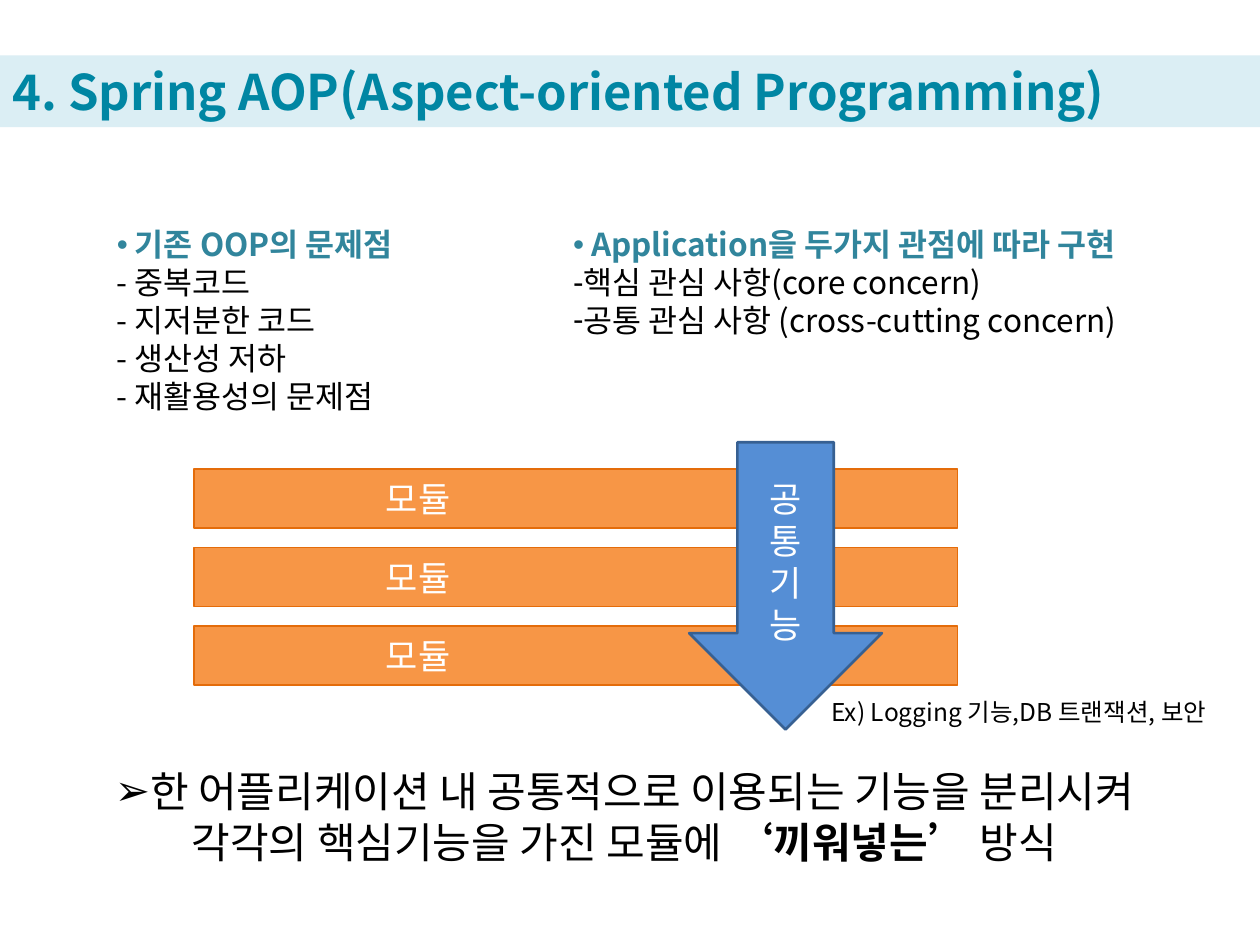
from lxml.etree import SubElement
from pptx import Presentation
from pptx.dml.color import RGBColor
from pptx.enum.shapes import MSO_SHAPE
from pptx.enum.text import MSO_ANCHOR, PP_ALIGN
from pptx.oxml.ns import qn
from pptx.util import Inches, Pt

FONT = "Noto Sans CJK KR"
BLACK = RGBColor(0x00, 0x00, 0x00)
WHITE = RGBColor(0xFF, 0xFF, 0xFF)
TITLE_TEAL = RGBColor(0x00, 0x86, 0xA3)
TITLE_BAND = RGBColor(0xDB, 0xEE, 0xF4)
HEADING_TEAL = RGBColor(0x31, 0x85, 0x9C)
ORANGE = RGBColor(0xF7, 0x96, 0x46)
ORANGE_EDGE = RGBColor(0xE4, 0x6C, 0x0A)
BLUE = RGBColor(0x55, 0x8E, 0xD5)
BLUE_EDGE = RGBColor(0x37, 0x60, 0x92)

presentation = Presentation()
presentation.slide_width = Inches(10)
presentation.slide_height = Inches(7.5)
COLUMN = presentation.slide_width / 100
ROW = presentation.slide_height / 75
slide = presentation.slides.add_slide(presentation.slide_layouts[6])


def place(box):
    left, top, width, height = box
    return round(left * COLUMN), round(top * ROW), round(width * COLUMN), round(height * ROW)


def add_text(frame, *runs, size=18, color=BLACK, align=PP_ALIGN.LEFT, bullet=None, hanging=0):
    paragraph = frame.paragraphs[0]
    if paragraph.runs:
        paragraph = frame.add_paragraph()
    paragraph.alignment = align
    properties = paragraph._p.get_or_add_pPr()
    indent = round(hanging * COLUMN)
    properties.set("marL", str(indent))
    properties.set("indent", str(-indent))
    if bullet:
        SubElement(properties, qn("a:buFont"), typeface="Arial")
        SubElement(properties, qn("a:buChar"), char=bullet)
    for text, bold in runs:
        run = paragraph.add_run()
        run.text = text
        run.font.name = FONT
        run.font.size = Pt(size)
        run.font.bold = bold
        run.font.color.rgb = color
        SubElement(run._r.get_or_add_rPr(), qn("a:ea"), typeface=FONT)


def add_frame(box):
    frame = slide.shapes.add_textbox(*place(box)).text_frame
    frame.word_wrap = True
    return frame


def add_block(kind, box, fill, edge=None, edge_width=1):
    shape = slide.shapes.add_shape(kind, *place(box))
    shape.shadow.inherit = False
    shape.fill.solid()
    shape.fill.fore_color.rgb = fill
    if edge is None:
        shape.line.fill.background()
    else:
        shape.line.color.rgb = edge
        shape.line.width = Pt(edge_width)
    frame = shape.text_frame
    frame.word_wrap = True
    frame.vertical_anchor = MSO_ANCHOR.MIDDLE
    return frame


def add_title(box, text):
    frame = add_block(MSO_SHAPE.RECTANGLE, box, TITLE_BAND)
    add_text(frame, (text, True), size=28, color=TITLE_TEAL)


def add_topic(box, heading, items, **item_format):
    frame = add_frame(box)
    add_text(frame, (" ", False), (heading, True), color=HEADING_TEAL, bullet="•")
    for item in items:
        add_text(frame, (item, False), **item_format)


def add_diagram(box):
    left, top, width, height = box
    bar_width, bar_height, bar_pitch = 60.6, 4.7, 6.25
    arrow_width = 15.3
    for index in range(3):
        bar = (left, top + 2.1 + index * bar_pitch, bar_width, bar_height)
        frame = add_block(MSO_SHAPE.RECTANGLE, bar, ORANGE, ORANGE_EDGE)
        frame.margin_right = round(26 * COLUMN)
        add_text(frame, ("모듈", False), size=20, color=WHITE, align=PP_ALIGN.CENTER)
    arrow = (left + 39.3, top, arrow_width, height)
    frame = add_block(MSO_SHAPE.DOWN_ARROW, arrow, BLUE, BLUE_EDGE, 1.5)
    for syllable in "공통기능":
        add_text(frame, (syllable, False), size=20, color=WHITE, align=PP_ALIGN.CENTER)
    add_text(add_frame((left + 49.6, top + 19.7, 39, 3.4)),
             ("Ex) Logging 기능,DB 트랜잭션, 보안", False), size=14)


def add_conclusion(box):
    add_text(add_frame(box),
             ("한 어플리케이션 내 공통적으로 이용되는 기능을 분리시켜 각각의 핵심기능을 가진 모듈에 ", False),
             ("‘끼워넣는’ ", True), ("방식", False),
             size=24, align=PP_ALIGN.CENTER, bullet="➢")


add_title((0, 4.4, 100, 5.7), "4. Spring AOP(Aspect-oriented Programming)")
add_topic((8.3, 17.4, 33.9, 16.2), "기존 OOP의 문제점",
          ["- 중복코드", "- 지저분한 코드", "- 생산성 저하", "- 재활용성의 문제점"], hanging=3.8)
add_topic((44.5, 17.4, 51.2, 10.1), "Application을 두가지 관점에 따라 구현",
          ["핵심 관심 사항(core concern)", "공통 관심 사항 (cross-cutting concern)"], bullet="-")
add_diagram((15.4, 35.1, 60.6, 22.8))
add_conclusion((3.5, 60.3, 92.1, 13.1))

presentation.save("out.pptx")
